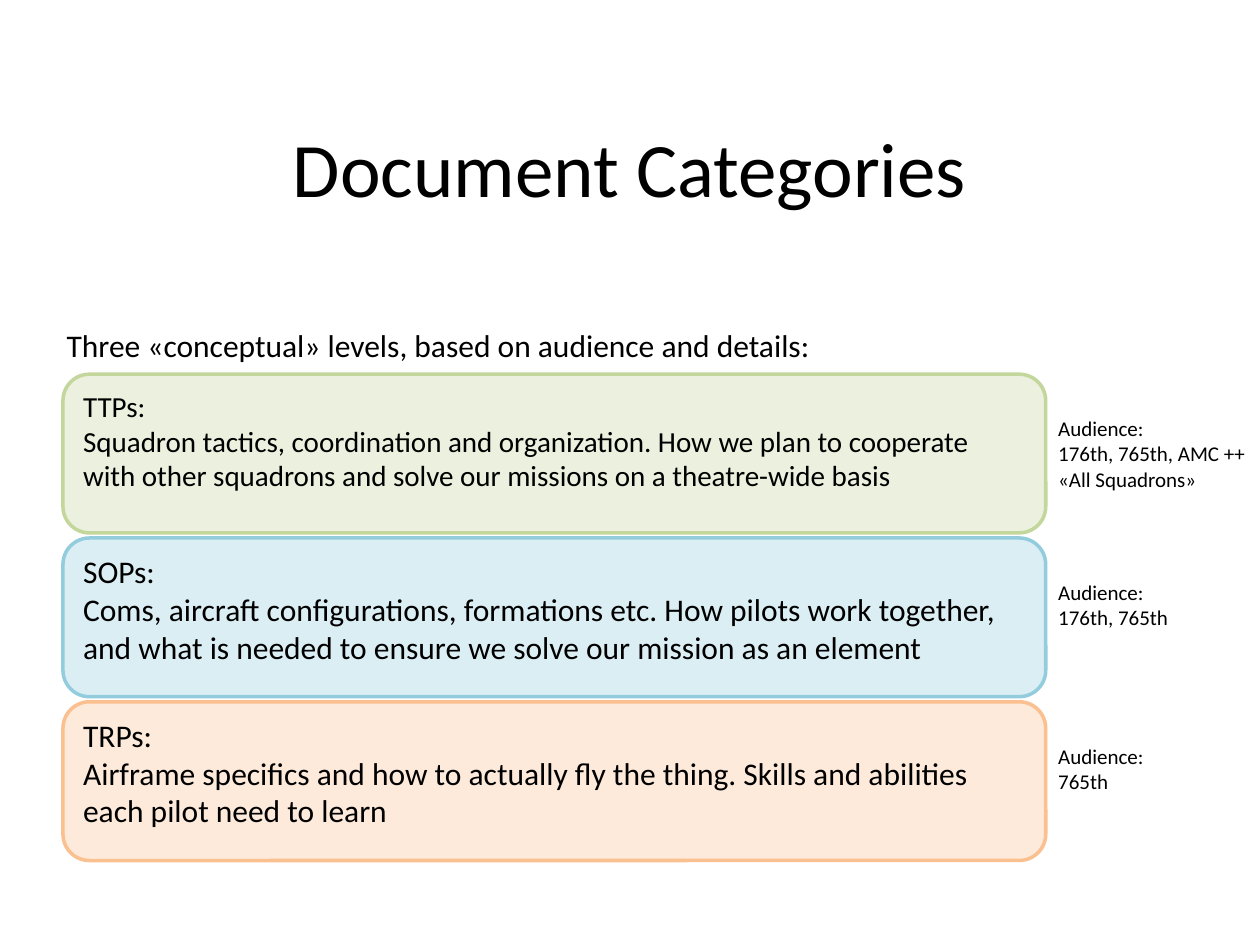
from pptx import Presentation
from pptx.dml.color import RGBColor
from pptx.enum.shapes import MSO_SHAPE
from pptx.enum.text import MSO_ANCHOR, PP_ALIGN
from pptx.util import Inches, Pt

ROUNDED = MSO_SHAPE.ROUNDED_RECTANGLE
TOP, MIDDLE = MSO_ANCHOR.TOP, MSO_ANCHOR.MIDDLE
LEFT, CENTER = PP_ALIGN.LEFT, PP_ALIGN.CENTER


def color(value):
    """Turn a hex string into a colour."""
    return RGBColor.from_string(value)


def write(shape, lines, size, wrap=True, anchor=TOP, alignment=LEFT):
    """Write one black Calibri paragraph for each line."""
    frame = shape.text_frame
    frame.word_wrap = wrap
    frame.vertical_anchor = anchor
    for index, line in enumerate(lines):
        paragraph = frame.add_paragraph() if index else frame.paragraphs[0]
        paragraph.alignment = alignment
        run = paragraph.add_run()
        run.text = line
        run.font.name = "Calibri"
        run.font.size = Pt(size)
        run.font.color.rgb = color("000000")


presentation = Presentation()
presentation.slide_width = Inches(10)
presentation.slide_height = Inches(7.5)
slide = presentation.slides.add_slide(presentation.slide_layouts[6])
shapes = slide.shapes

title = shapes.add_textbox(Inches(0.5), Inches(0.85), Inches(9), Inches(0.94))
write(title, ["Document Categories"], 44, anchor=MIDDLE, alignment=CENTER)

intro = shapes.add_textbox(Inches(0.43), Inches(2.54), Inches(6.18), Inches(0.4))
write(intro, ["Three «conceptual» levels, based on audience and details:"], 18, wrap=False)

# heading, description, text size, fill, line, audience, audience width and height
levels = [
    ("TTPs:",
     "Squadron tactics, coordination and organization. How we plan to cooperate "
     "with other squadrons and solve our missions on a theatre-wide basis",
     16.6, "EBF1DE", "C3D69B",
     ["176th, 765th, AMC ++", "«All Squadrons»"], 1.71, 0.71),
    ("SOPs:",
     "Coms, aircraft configurations, formations etc. How pilots work together, "
     "and what is needed to ensure we solve our mission as an element",
     18, "DBEEF4", "93CDDD", ["176th, 765th"], 1.09, 0.5),
    ("TRPs:",
     "Airframe specifics and how to actually fly the thing. Skills and abilities "
     "each pilot need to learn",
     18, "FDEADA", "FAC090", ["765th"], 0.89, 0.5),
]
first_top, pitch = 2.97, 1.3

for index, (heading, description, size, fill, line, audience, width, height) in enumerate(levels):
    top = first_top + index * pitch
    band = shapes.add_shape(ROUNDED, Inches(0.5), Inches(top), Inches(7.8), Inches(1.26))
    band.shadow.inherit = False
    band.fill.solid()
    band.fill.fore_color.rgb = color(fill)
    band.line.color.rgb = color(line)
    band.line.width = Pt(2)
    write(band, [heading, description], size)

    note = shapes.add_textbox(Inches(8.3), Inches(top + 0.28), Inches(width), Inches(height))
    write(note, ["Audience:"] + audience, 12, wrap=False)

presentation.save("out.pptx")
